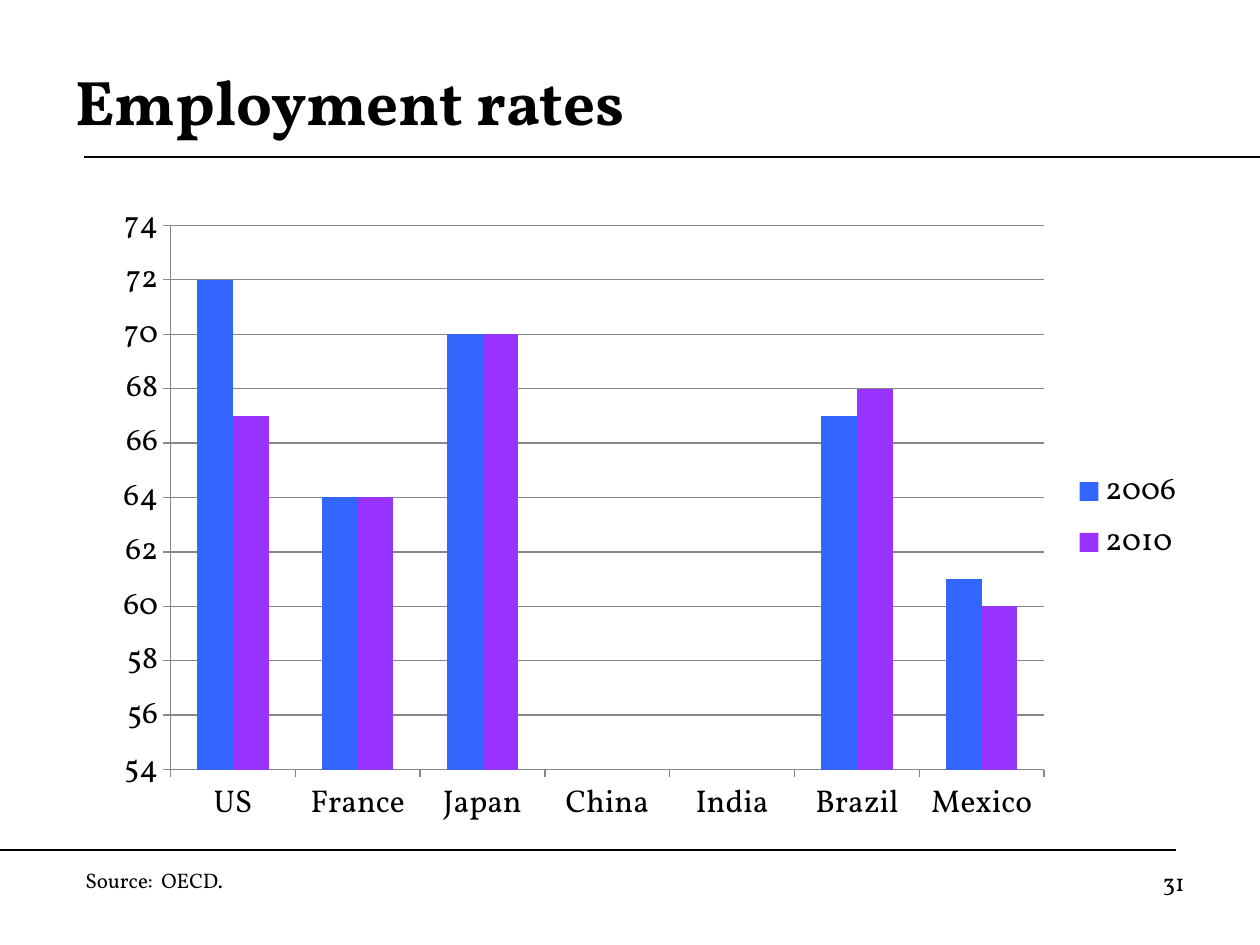
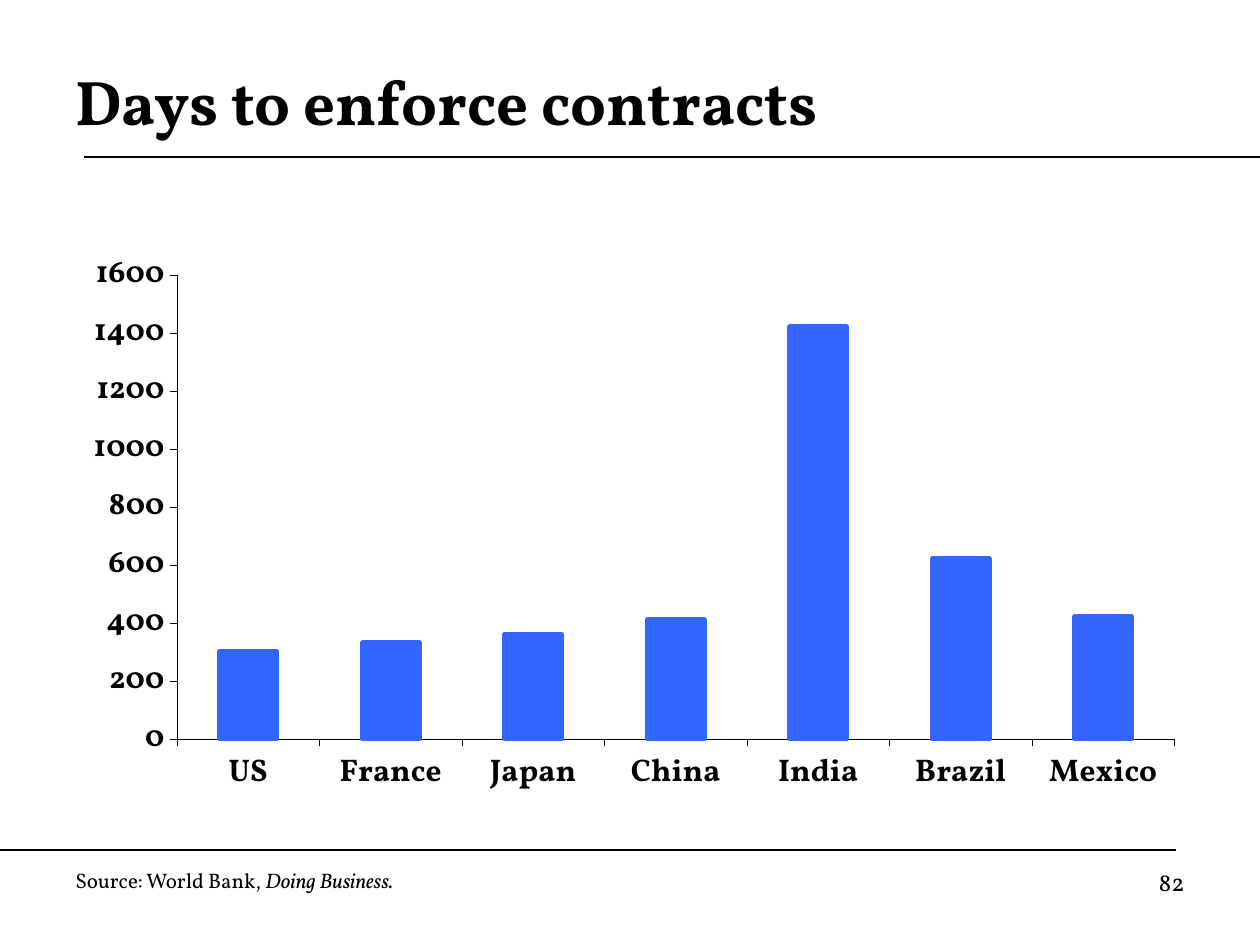
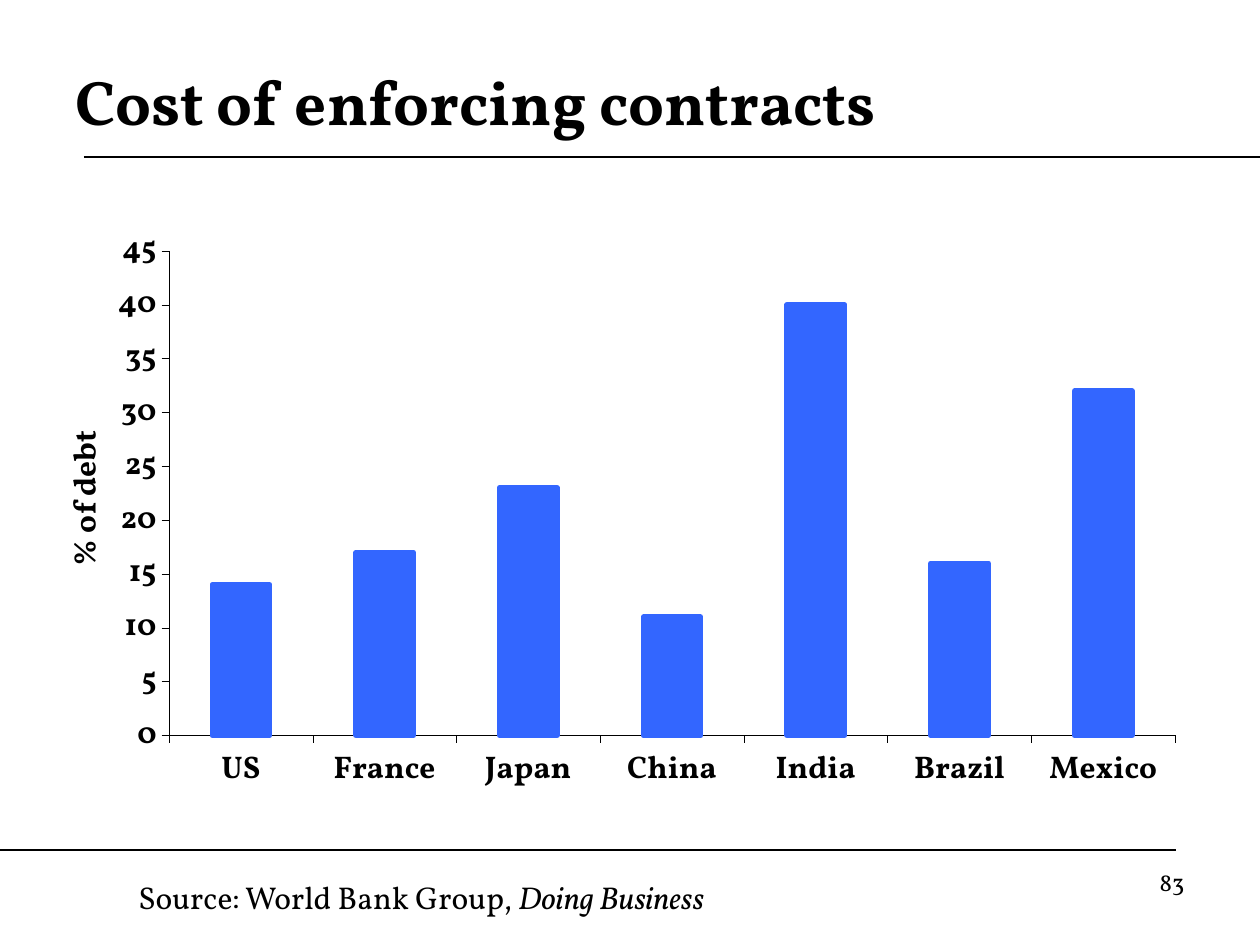
from lxml.etree import SubElement
from pptx import Presentation
from pptx.chart.data import CategoryChartData
from pptx.dml.color import RGBColor
from pptx.enum.chart import XL_CHART_TYPE as ChartType, XL_LEGEND_POSITION as LegendPosition
from pptx.enum.chart import XL_TICK_MARK as TickMark
from pptx.enum.shapes import MSO_CONNECTOR as Connector
from pptx.enum.text import MSO_ANCHOR as Anchor, PP_ALIGN as Align
from pptx.oxml.ns import qn
from pptx.util import Emu, Pt

PX = 914400 / 126
FONT = "Vollkorn"
COLORS = {
    "text": "000000",
    "rule": "000000",
    "grid": "878787",
    "blue": "3366FF",
    "purple": "9933FF",
}
COLORS = {name: RGBColor.from_string(value) for name, value in COLORS.items()}
RULES = [(84, 157, 1260, 157), (0, 850, 1176, 850)]
COUNTRIES = ["US", "France", "Japan", "China", "India", "Brazil", "Mexico"]

SLIDES = [
    {
        "title": "Employment rates",
        "number": "31",
        "source": ["Source:\u00a0 OECD.".replace("\u00a0", " ")],
        "source_box": (73, 861, 609, 38),
        "source_size": 12,
        "chart_box": (105, 193, 1092, 648),
        "plot": {"x": 0.06, "y": 0.05, "w": 0.8, "h": 0.84},
        "series": {
            "2006": [72, 64, 70, None, None, 67, 61],
            "2010": [67, 64, 70, None, None, 68, 60],
        },
        "scale": (54, 74, 2),
        "grouped": True,
    },
    {
        "title": "Days to enforce contracts",
        "number": "82",
        "source": ["Source: World Bank, ", "Doing Business."],
        "source_box": (63, 861, 809, 38),
        "source_size": 12,
        "chart_box": (71, 228, 1116, 609),
        "plot": {"x": 0.095, "y": 0.077, "w": 0.894, "h": 0.762},
        "series": {"Series 1": [300, 330, 360, 410, 1420, 620, 420]},
        "scale": (0, 1600, 200),
        "grouped": False,
    },
    {
        "title": "Cost of enforcing contracts",
        "number": "83",
        "source": ["Source: World Bank Group, ", "Doing Business"],
        "source_box": (126, 872, 809, 50),
        "source_size": 18,
        "chart_box": (21, 202, 1166, 636),
        "plot": {"x": 0.127, "y": 0.077, "w": 0.863, "h": 0.762},
        "series": {"Series 1": [14, 17, 23, 11, 40, 16, 32]},
        "scale": (0, 45, 5),
        "grouped": False,
        "axis_title": "% of debt",
    },
]


def add_text(slide, box, runs, size=12, bold=False, align=Align.LEFT, anchor=Anchor.TOP):
    shape = slide.shapes.add_textbox(*[Emu(round(length * PX)) for length in box])
    frame = shape.text_frame
    frame.word_wrap = True
    frame.vertical_anchor = anchor
    paragraph = frame.paragraphs[0]
    paragraph.alignment = align
    for index, text in enumerate(runs):
        run = paragraph.add_run()
        run.text = text
        run.font.name = FONT
        run.font.size = Pt(size)
        run.font.bold = bold
        run.font.italic = index > 0
        run.font.color.rgb = COLORS["text"]


def set_layout(parent, position, settings):
    for layout in parent.findall(qn("c:layout")):
        parent.remove(layout)
    layout = SubElement(parent, qn("c:layout"))
    manual = SubElement(layout, qn("c:manualLayout"))
    for name, value in settings.items():
        SubElement(manual, qn(f"c:{name}")).set("val", str(value))
    parent.insert(position, layout)


presentation = Presentation()
presentation.slide_width = Emu(round(1260 * PX))
presentation.slide_height = Emu(round(945 * PX))

for content in SLIDES:
    slide = presentation.slides.add_slide(presentation.slide_layouts[6])
    grouped = content["grouped"]

    for rule in RULES:
        line = slide.shapes.add_connector(
            Connector.STRAIGHT, *[Emu(round(length * PX)) for length in rule]
        )
        line.line.color.rgb = COLORS["rule"]
        line.line.width = Pt(0.75)
        SubElement(line._element.spPr, qn("a:effectLst"))

    add_text(slide, (63, 42, 1134, 116), [content["title"]], size=36, bold=True, anchor=Anchor.MIDDLE)
    add_text(slide, content["source_box"], content["source"], size=content["source_size"])
    add_text(slide, (903, 861, 294, 66), [content["number"]], size=14, align=Align.RIGHT)

    data = CategoryChartData()
    data.categories = COUNTRIES
    for name, values in content["series"].items():
        data.add_series(name, values)
    chart_box = [Emu(round(length * PX)) for length in content["chart_box"]]
    chart = slide.shapes.add_chart(ChartType.COLUMN_CLUSTERED, *chart_box, data).chart
    chart.has_title = False
    chart.font.name = FONT
    chart.font.size = Pt(18 if grouped else 17.9)
    chart.font.bold = not grouped
    chart.font.color.rgb = COLORS["text"]

    plot = chart.plots[0]
    plot.gap_width = 150
    plot.overlap = 0
    plot.vary_by_categories = False
    for series, color in zip(plot.series, ("blue", "purple")):
        series.invert_if_negative = False
        series.format.fill.solid()
        series.format.fill.fore_color.rgb = COLORS[color]
        if not grouped:
            series.format.line.color.rgb = COLORS[color]
            series.format.line.width = Pt(3)

    for axis in (chart.category_axis, chart.value_axis):
        axis.major_tick_mark = TickMark.OUTSIDE
        axis.minor_tick_mark = TickMark.NONE
        axis.format.line.color.rgb = COLORS["grid" if grouped else "rule"]
        axis.format.line.width = Pt(0.75 if grouped else 0.25)

    value_axis = chart.value_axis
    value_axis.minimum_scale, value_axis.maximum_scale, value_axis.major_unit = content["scale"]
    value_axis.has_major_gridlines = grouped
    if grouped:
        gridline = value_axis.major_gridlines.format.line
        gridline.color.rgb = COLORS["grid"]
        gridline.width = Pt(0.75)

    chart.has_legend = grouped
    if grouped:
        chart.legend.position = LegendPosition.RIGHT
        chart.legend.include_in_layout = False

    edges = {"xMode": "edge", "yMode": "edge"}
    plot_area = chart._chartSpace.chart.plotArea
    set_layout(plot_area, 0, {"layoutTarget": "inner", **edges, **content["plot"]})

    if "axis_title" in content:
        axis_title = value_axis.axis_title
        run = axis_title.text_frame.paragraphs[0].add_run()
        run.text = content["axis_title"]
        run.font.name = FONT
        run.font.size = Pt(17.9)
        run.font.bold = True
        run.font.color.rgb = COLORS["text"]
        body = axis_title._element.find(".//" + qn("a:bodyPr"))
        body.set("rot", "-5400000")
        body.set("vert", "horz")
        set_layout(axis_title._element, 1, {**edges, "x": 0.03, "y": 0.35})

presentation.save("out.pptx")
